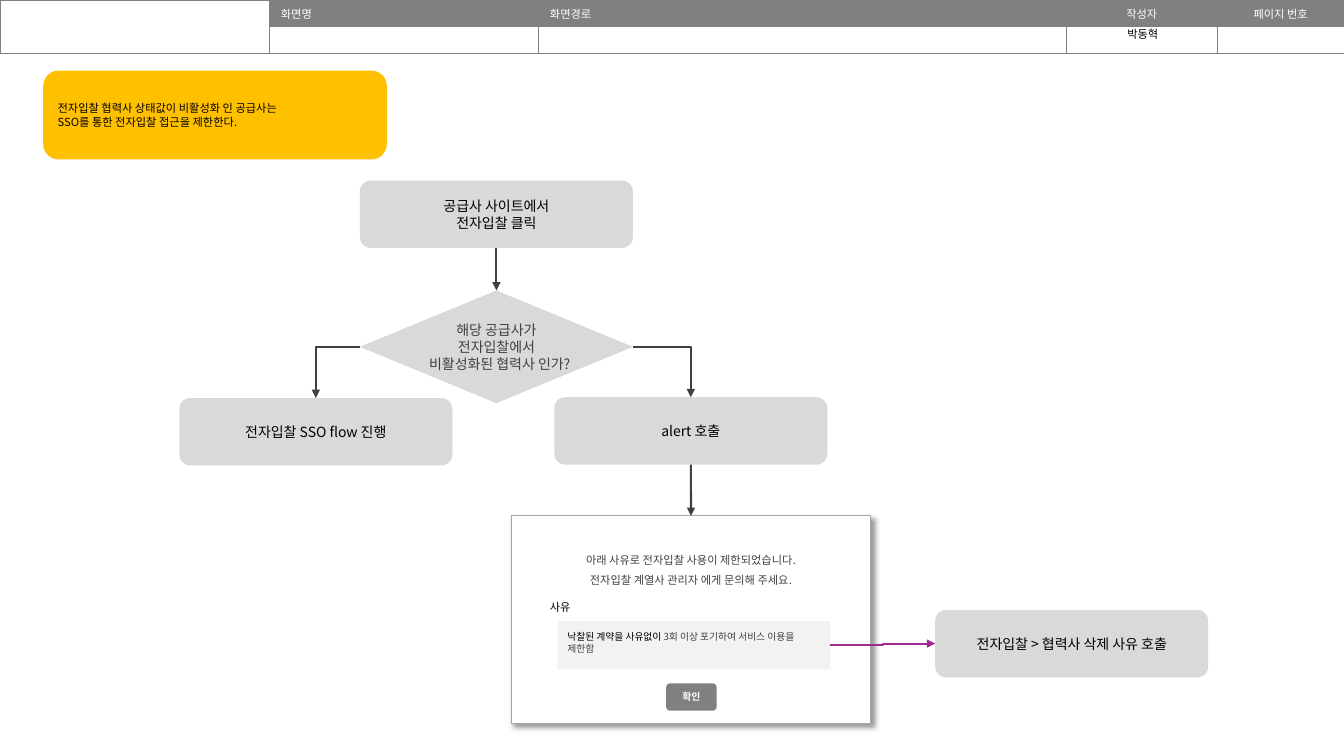
from lxml import etree
from pptx import Presentation
from pptx.dml.color import RGBColor
from pptx.enum.shapes import MSO_CONNECTOR as CONN, MSO_SHAPE as SHAPE
from pptx.enum.text import MSO_ANCHOR as ANCHOR, PP_ALIGN as ALIGN
from pptx.oxml.ns import qn
from pptx.util import Cm, Pt

FONT = "Noto Sans CJK KR"
BLACK = RGBColor(0x00, 0x00, 0x00)
WHITE = RGBColor(0xFF, 0xFF, 0xFF)
DARK = RGBColor(0x40, 0x40, 0x40)
GRAY = RGBColor(0x80, 0x80, 0x80)
BORDER = RGBColor(0xA6, 0xA6, 0xA6)
BOX = RGBColor(0xD9, 0xD9, 0xD9)
PALE = RGBColor(0xF2, 0xF2, 0xF2)
YELLOW = RGBColor(0xFF, 0xC0, 0x00)
PURPLE = RGBColor(0xA0, 0x2B, 0x93)

BOX_W, BOX_H = 6.88, 1.7


def sub(parent, tag, **attrs):
    return etree.SubElement(parent, qn(tag), {k: str(v) for k, v in attrs.items()})


def add_run(p, text, size, color, bold=False):
    r = p.add_run()
    r.text = text
    for name, value in {"name": FONT, "size": Pt(size), "bold": bold}.items():
        setattr(r.font, name, value)
    r.font.color.rgb = color
    sub(r._r.get_or_add_rPr(), "a:ea", typeface=FONT)


def write(tf, lines, size, color, align=ALIGN.CENTER, bold=False):
    """Each line is a string or a list of (text, color) runs."""
    for i, line in enumerate(lines):
        p = tf.add_paragraph() if i else tf.paragraphs[0]
        p.alignment = align
        for text, c in [(line, color)] if isinstance(line, str) else line:
            add_run(p, text, size, c, bold)


def add_box(s, at, lines, size=10, color=BLACK, fill=BOX, kind=SHAPE.ROUNDED_RECTANGLE,
            adj=0.162, align=ALIGN.CENTER, anchor=ANCHOR.MIDDLE, inset=0.25, bold=False):
    sp = s.shapes.add_shape(kind, *map(Cm, at))
    sp.shadow.inherit = False
    sp.fill.solid()
    sp.fill.fore_color.rgb = fill
    sp.line.fill.background()
    if kind == SHAPE.ROUNDED_RECTANGLE:
        sp.adjustments[0] = adj
    tf = sp.text_frame
    tf.word_wrap = True
    tf.vertical_anchor = anchor
    for side in ("left", "top", "right", "bottom"):
        setattr(tf, f"margin_{side}", Cm(inset))
    write(tf, lines, size, color, align, bold)
    return sp


def add_process(s, left, top, *lines):
    return add_box(s, (left, top, BOX_W, BOX_H), lines)


def add_arrow(s, start, start_side, end, end_side, color=DARK, kind=CONN.STRAIGHT, corner=False):
    c = s.shapes.add_connector(kind, 0, 0, 0, 0)
    c.begin_connect(start, start_side)
    c.end_connect(end, end_side)
    c.line.color.rgb = color
    c.line.width = Pt(1.5)
    sub(c.line._get_or_add_ln(), "a:tailEnd", type="triangle")
    spPr = c._element.spPr
    sub(spPr, "a:effectLst")
    if corner:
        spPr.find(qn("a:prstGeom")).set("prst", "bentConnector2")


def format_cell(cell, heading):
    for side, value in {"left": 0.3, "right": 0.3, "top": 0.12, "bottom": 0.12}.items():
        setattr(cell, f"margin_{side}", Cm(value))
    cell.vertical_anchor = ANCHOR.MIDDLE
    tcPr = cell._tc.get_or_add_tcPr()
    for tag in ("a:lnL", "a:lnR", "a:lnT", "a:lnB"):
        ln = sub(tcPr, tag, w=Pt(0.25))
        sub(sub(ln, "a:solidFill"), "a:srgbClr", val=GRAY)
    if heading:
        cell.fill.solid()
        cell.fill.fore_color.rgb = GRAY
    else:
        cell.fill.background()
        sub(cell.text_frame.paragraphs[0]._p, "a:endParaRPr", sz=800)


def add_header(s):
    widths = [6.78, 6.78, 13.31, 3.81, 3.19]
    headings = ["", "화면명", "화면경로", "작성자", "페이지 번호"]
    table = s.shapes.add_table(2, 5, 0, 0, Cm(sum(widths)), Cm(1.34)).table
    table.first_row = table.horz_banding = False
    for row in table.rows:
        row.height = Cm(0.67)
    for i, (width, heading) in enumerate(zip(widths, headings)):
        table.columns[i].width = Cm(width)
        for row in (0, 1):
            format_cell(table.cell(row, i), heading and row == 0)
        if heading:
            align = ALIGN.CENTER if i > 2 else ALIGN.LEFT
            write(table.cell(0, i).text_frame, [heading], 8, WHITE, align)
    table.cell(0, 0).merge(table.cell(1, 0))

    # Author name
    author = s.shapes.add_textbox(Cm(26.87), Cm(0.56), Cm(3.86), Cm(0.6))
    author.text_frame.word_wrap = True
    write(author.text_frame, ["박동혁"], 8, BLACK)


def add_popup(s):
    popup = add_box(s, (12.88, 13, 9.07, 5.23),
                    ["아래 사유로 전자입찰 사용이 제한되었습니다.",
                     "전자입찰 계열사 관리자 에게 문의해 주세요.",
                     [("사유", BLACK)]],
                    8, DARK, WHITE, adj=0, anchor=ANCHOR.TOP)
    popup.line.color.rgb = BORDER
    popup.line.width = Pt(0.75)
    tf = popup.text_frame
    tf.margin_top = Cm(0.77)
    *notice, label = tf.paragraphs
    for p in notice:
        p.line_spacing = 1.5
    label.alignment = ALIGN.LEFT
    label.space_before = Pt(9.5)
    label._p.get_or_add_pPr().set("marL", str(Cm(0.73)))

    # Drop shadow
    effects = popup._element.spPr.find(qn("a:effectLst"))
    shadow = sub(effects, "a:outerShdw", blurRad=Pt(4), dist=Pt(3), dir=45 * 60000,
                 algn="tl", rotWithShape=0)
    sub(sub(shadow, "a:srgbClr", val=BLACK), "a:alpha", val=40000)

    # Confirm button and reason field
    add_box(s, (16.79, 17.22, 1.27, 0.69), ["확인"], 7, WHITE, GRAY, adj=0.138, bold=True)
    reason = add_box(s, (14.05, 15.65, BOX_W, 1.22),
                     [[("낙찰된 계약을 사유없이 ", BLACK),
                       ("3회 이상 포기하여 서비스 이용을 제한함", DARK)]],
                     7, fill=PALE, adj=0, align=ALIGN.LEFT, anchor=ANCHOR.TOP)
    return popup, reason


def main():
    prs = Presentation()
    prs.slide_width, prs.slide_height = Cm(33.87), Cm(19.05)
    s = prs.slides.add_slide(prs.slide_layouts[6])
    add_header(s)

    # Policy note
    add_box(s, (1.09, 1.78, 8.66, 2.24),
            ["전자입찰 협력사 상태값이 비활성화 인 공급사는", "SSO를 통한 전자입찰 접근을 제한한다."],
            8, fill=YELLOW, adj=0.173, align=ALIGN.LEFT)

    # Flow steps
    click = add_process(s, 9.07, 4.55, "공급사 사이트에서", "전자입찰 클릭")
    check = add_box(s, (9.07, 7.32, BOX_W, 2.84),
                    ["해당 공급사가", "전자입찰에서 비활성화된 협력사 인가?"],
                    color=DARK, kind=SHAPE.DIAMOND, inset=0)
    sso = add_process(s, 4.52, 10.03, "전자입찰 SSO flow 진행")
    alert = add_process(s, 13.97, 10.01, "alert 호출")
    popup, reason = add_popup(s)
    delete = add_process(s, 23.57, 15.37, "전자입찰 > 협력사 삭제 사유 호출")

    # Arrows
    add_arrow(s, click, 2, check, 0)
    add_arrow(s, check, 1, sso, 0, kind=CONN.ELBOW, corner=True)
    add_arrow(s, check, 3, alert, 0, kind=CONN.ELBOW, corner=True)
    add_arrow(s, alert, 2, popup, 0)
    add_arrow(s, reason, 3, delete, 1, PURPLE, CONN.ELBOW)

    prs.save("out.pptx")


if __name__ == "__main__":
    main()
